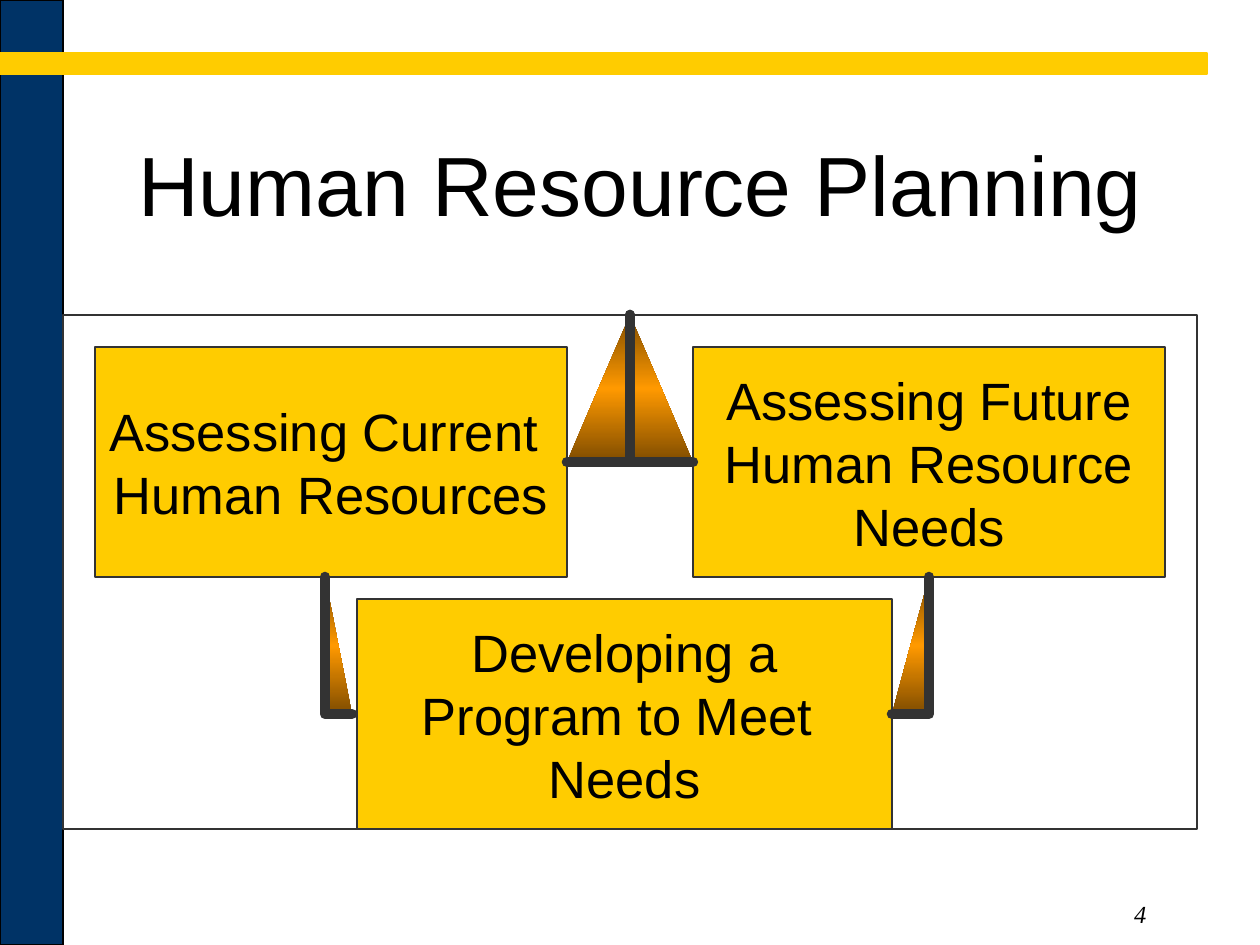
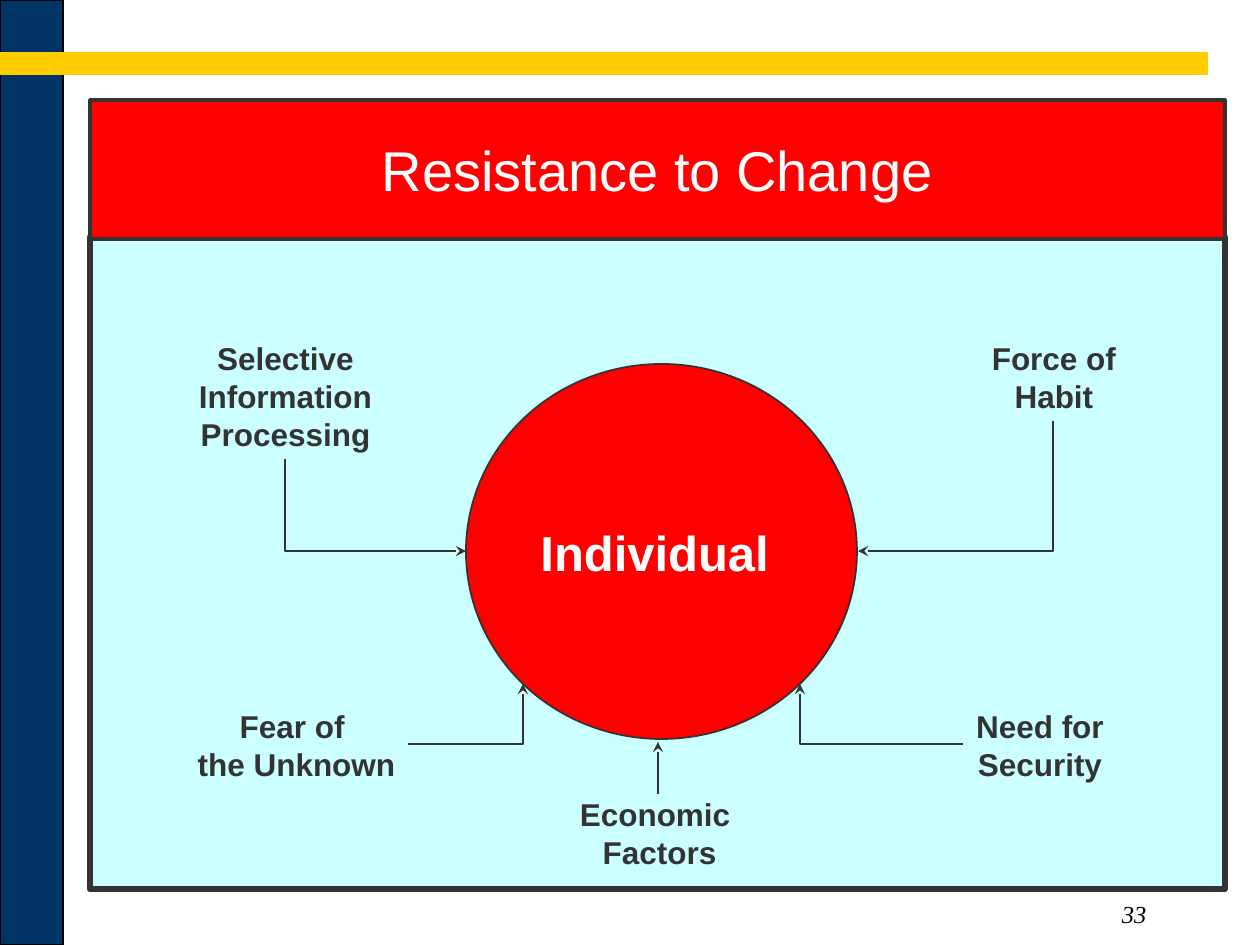
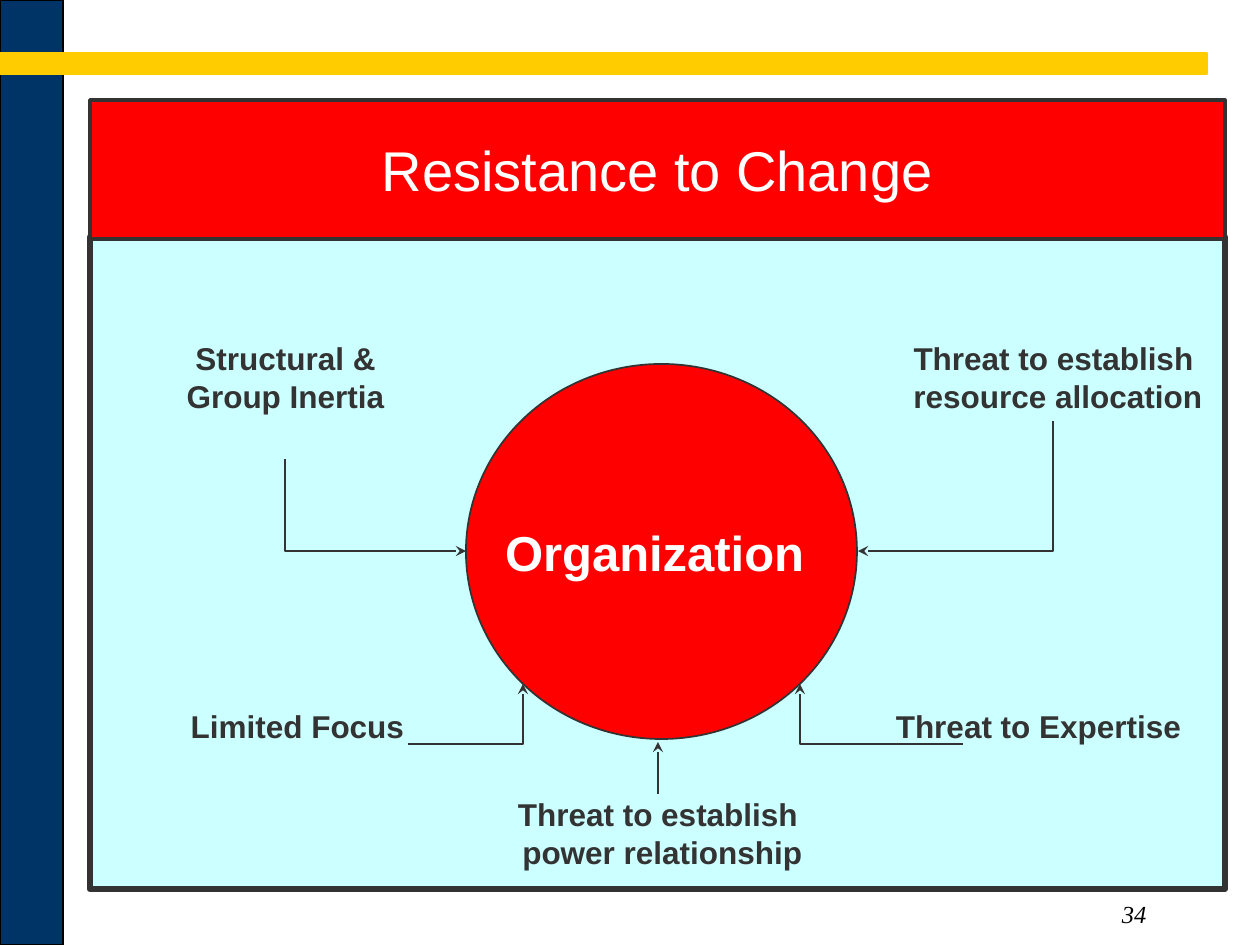
from lxml import etree
from pptx import Presentation
from pptx.dml.color import RGBColor
from pptx.enum.shapes import MSO_CONNECTOR, MSO_SHAPE
from pptx.enum.text import MSO_ANCHOR, PP_ALIGN
from pptx.oxml import parse_xml
from pptx.oxml.ns import nsdecls, qn
from pptx.util import Pt

PX = 914400 / 126
RECT, OVAL = MSO_SHAPE.RECTANGLE, MSO_SHAPE.OVAL
STRAIGHT = MSO_CONNECTOR.STRAIGHT
LEFT, CENTER, RIGHT = PP_ALIGN.LEFT, PP_ALIGN.CENTER, PP_ALIGN.RIGHT
TOP, MIDDLE, BOTTOM = MSO_ANCHOR.TOP, MSO_ANCHOR.MIDDLE, MSO_ANCHOR.BOTTOM

BLACK = RGBColor(0x00, 0x00, 0x00)
WHITE = RGBColor(0xFF, 0xFF, 0xFF)
CHARCOAL = RGBColor(0x33, 0x33, 0x33)
NAVY = RGBColor(0x00, 0x33, 0x66)
GOLD = RGBColor(0xFF, 0xCC, 0x00)
RED = RGBColor(0xFF, 0x00, 0x00)
PALE_CYAN = RGBColor(0xCC, 0xFF, 0xFF)
ORANGE = RGBColor(0xFF, 0x99, 0x00)
BROWN = RGBColor(0x7F, 0x4C, 0x00)


def add_box(page, bounds, kind=None, fill=None, line=CHARCOAL, width=1, lines=(), size=18,
            color=BLACK, font="Arial", bold=False, italic=False, align=CENTER, anchor=MIDDLE):
    """Add a preset shape, or a text box when kind is None; each line is a paragraph."""
    place = [round(length * PX) for length in bounds]
    if kind is None:
        box = page.shapes.add_textbox(*place)
    else:
        box = page.shapes.add_shape(kind, *place)
        box.shadow.inherit = False
        box.line.color.rgb = line
        box.line.width = Pt(width)
        if fill is None:
            box.fill.background()
        else:
            box.fill.solid()
            box.fill.fore_color.rgb = fill
    frame = box.text_frame
    frame.word_wrap = align != CENTER
    frame.vertical_anchor = anchor
    for index, text in enumerate(lines):
        para = frame.paragraphs[0] if index == 0 else frame.add_paragraph()
        para.alignment = align
        span = para.add_run()
        span.text = text
        span.font.name = font
        span.font.size = Pt(size)
        span.font.bold = bold
        span.font.italic = italic
        span.font.color.rgb = color
    return box


def add_elbow(page, points, width):
    """Add an unfilled open outline through the points."""
    builder = page.shapes.build_freeform(*points[0], scale=PX)
    builder.add_line_segments(points[1:], close=False)
    elbow = builder.convert_to_shape()
    elbow.shadow.inherit = False
    elbow.fill.background()
    elbow.line.color.rgb = CHARCOAL
    elbow.line.width = Pt(width)
    return elbow


deck = Presentation()
deck.slide_width = round(1260 * PX)
deck.slide_height = round(945 * PX)

# Shared frame of every slide; the number sits below the panels
pages = []
for number in (4, 33, 34):
    page = deck.slides.add_slide(deck.slide_layouts[6])
    add_box(page, (903, 882, 262, 53), lines=[f"{number} "], size=14,
            font="Times New Roman", italic=True, align=RIGHT, anchor=BOTTOM)
    add_box(page, (0, 0, 63, 945), RECT, NAVY, BLACK, 0.75)
    add_box(page, (0, 53, 1207, 21), RECT, GOLD, GOLD, 0.75)
    pages.append(page)

# Human resource planning
planning = pages[0]
title = add_box(planning, (126, 63, 1071, 252), lines=["Human Resource Planning"],
                size=48, align=LEFT)
title.text_frame.paragraphs[0].line_spacing = 0.9
add_box(planning, (63, 315, 1134, 514), RECT)

steps = [
    ((693, 347, 472, 230), ["Assessing Future", "Human Resource", "Needs"]),
    ((95, 347, 472, 230), ["Assessing Current ", "Human Resources"]),
    ((357, 599, 535, 230), ["Developing a", "Program to Meet ", "Needs"]),
]
for bounds, lines in steps:
    add_box(planning, bounds, RECT, GOLD, lines=lines, size=30)

wedges = [
    [(325, 577), (325, 714), (352, 714)],
    [(929, 577), (929, 714), (892, 714)],
    [(567, 462), (630, 462), (630, 315)],
    [(693, 462), (630, 462), (630, 315)],
]
stops = "".join(f'<a:gs pos="{position}"><a:srgbClr val="{color}"/></a:gs>'
                for position, color in ((0, BROWN), (50000, ORANGE), (100000, BROWN)))
for points in wedges:
    wedge = add_elbow(planning, points, 6)
    properties = wedge.element.spPr
    gradient = parse_xml(f'<a:gradFill {nsdecls("a")}><a:gsLst>{stops}</a:gsLst>'
                         '<a:lin ang="5400000" scaled="0"/></a:gradFill>')
    properties.replace(properties.find(qn("a:noFill")), gradient)
    outline = properties.find(qn("a:ln"))
    outline.set("cap", "rnd")
    etree.SubElement(outline, qn("a:round"))

# Resistance to change: each label is left, top, width, lines
resistance = [
    ("Individual ", [
        (186, 333, 199, ["Selective", "Information", "Processing"]),
        (185, 701, 223, ["Fear of ", "the Unknown"]),
        (979, 333, 150, ["Force of", "Habit"]),
        (963, 701, 154, ["Need for", "Security"]),
        (567, 789, 185, ["Economic ", "Factors"]),
    ]),
    ("Organization ", [
        (174, 333, 223, ["Structural &", "Group Inertia"]),
        (178, 701, 239, ["Limited Focus"]),
        (892, 333, 323, ["Threat to establish", " resource allocation"]),
        (883, 701, 311, ["Threat to Expertise"]),
        (501, 789, 314, ["Threat to establish", " power relationship"]),
    ]),
]
elbows = [
    [(1053, 421), (1053, 551), (858, 551)],
    [(285, 459), (285, 551), (466, 551)],
    [(408, 744), (523, 744), (523, 684)],
    [(963, 744), (800, 744), (800, 684)],
]
for page, (source, labels) in zip(pages[1:], resistance):
    add_box(page, (90, 237, 1135, 652), RECT, PALE_CYAN, width=3.75)
    add_box(page, (90, 100, 1135, 139), RECT, RED, width=2,
            lines=["Resistance to Change"], size=32, color=WHITE)
    for left, top, width, lines in labels:
        add_box(page, (left, top, width, 12 + 38 * len(lines)), lines=lines,
                color=CHARCOAL, bold=True, anchor=TOP)

    upward = page.shapes.add_connector(
        STRAIGHT, *[round(length * PX) for length in (658, 794, 658, 742)])
    upward.line.color.rgb = CHARCOAL
    upward.line.width = Pt(1)
    etree.SubElement(upward.element.spPr, qn("a:effectLst"))

    add_box(page, (466, 364, 391, 375), OVAL, RED, lines=[source], size=28,
            color=WHITE, bold=True)
    arrows = [upward] + [add_elbow(page, points, 1) for points in elbows]
    for arrow in arrows:
        outline = arrow.element.spPr.find(qn("a:ln"))
        etree.SubElement(outline, qn("a:tailEnd"), type="stealth")

deck.save("out.pptx")
